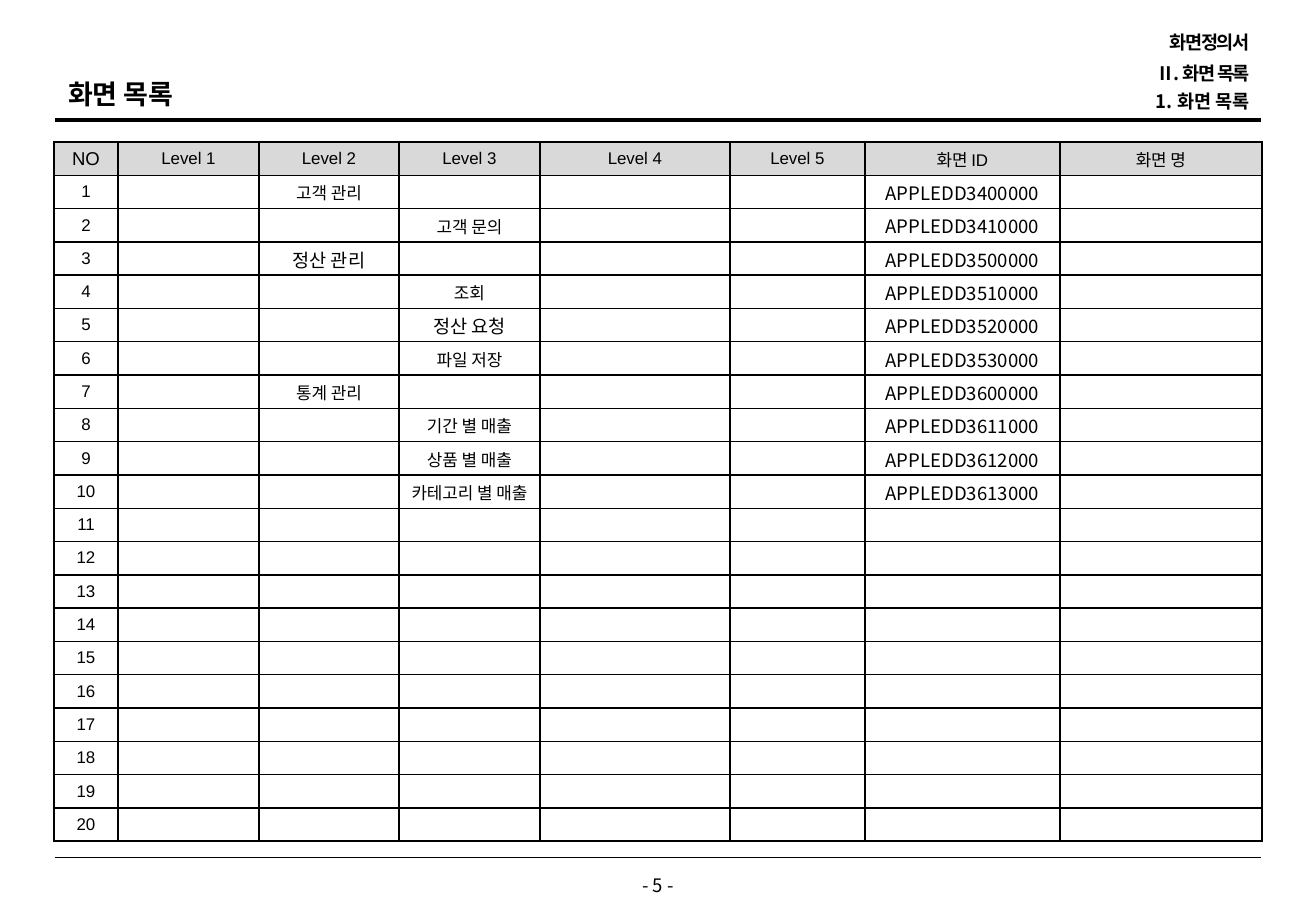
import pptx
import pptx.dml.color
import pptx.enum.shapes
import pptx.enum.text
import pptx.oxml.ns
import pptx.util
import lxml.etree

NOTO, ARIAL = "Noto Sans CJK KR", "Arial"
BLACK, WHITE, GRAY = "000000", "FFFFFF", "D9D9D9"
LEFT, CENTER, RIGHT = (pptx.enum.text.PP_ALIGN.LEFT, pptx.enum.text.PP_ALIGN.CENTER,
                       pptx.enum.text.PP_ALIGN.RIGHT)
TOP, MIDDLE = pptx.enum.text.MSO_ANCHOR.TOP, pptx.enum.text.MSO_ANCHOR.MIDDLE

TITLE = "화면 목록"
PAGE_NUMBER = "- 5 -"
BREADCRUMBS = [(31, "화면정의서", -0.8), (62, "Ⅱ. 화면 목록", -0.8), (90, "1. 화면 목록", 0)]
RULES = [(120, 2.25), (857, 0.5)]
RULE_LEFT, RULE_RIGHT = 55, 1261

HEADERS = ["NO", "Level 1", "Level 2", "Level 3", "Level 4", "Level 5", "화면 ID", "화면 명"]
COL_WIDTHS = [64, 141, 140, 141, 190, 135, 195, 202]
SCREENS = [
    (2, "고객 관리", "APPLEDD3400000"),
    (3, "고객 문의", "APPLEDD3410000"),
    (2, "정산 관리", "APPLEDD3500000"),
    (3, "조회", "APPLEDD3510000"),
    (3, "정산 요청", "APPLEDD3520000"),
    (3, "파일 저장", "APPLEDD3530000"),
    (2, "통계 관리", "APPLEDD3600000"),
    (3, "기간 별 매출", "APPLEDD3611000"),
    (3, "상품 별 매출", "APPLEDD3612000"),
    (3, "카테고리 별 매출", "APPLEDD3613000"),
]
LARGE_NAMES = {"정산 관리", "정산 요청"}
ID_COL = 6
ROW_COUNT = 20
TABLE_LEFT, TABLE_TOP, TABLE_HEIGHT = 54, 142, 700


def px(n):
    return round(n * 914400 / 121.5)


def rgb(color):
    return pptx.dml.color.RGBColor.from_string(color)


def child(parent, tag, **attrs):
    return lxml.etree.SubElement(parent, pptx.oxml.ns.qn(tag), **attrs)


def add_run(p, text, size, font=NOTO, bold=False, spacing=0):
    r = p.add_run()
    r.text = text
    r.font.size = pptx.util.Pt(size)
    r.font.name = font
    r.font.bold = bold
    r.font.color.rgb = rgb(BLACK)
    rPr = r.font._element
    child(rPr, "a:ea", typeface=NOTO)
    if spacing:
        rPr.set("spc", str(round(spacing * 100)))


def add_text(s, box, text, size, align, anchor, line, inset=(12, 6), bold=True, spacing=0):
    tf = s.shapes.add_textbox(*map(px, box)).text_frame
    tf.word_wrap = True
    tf.vertical_anchor = anchor
    tf.margin_left = tf.margin_right = px(inset[0])
    tf.margin_top = tf.margin_bottom = px(inset[1])
    p = tf.paragraphs[0]
    p.alignment = align
    p.line_spacing = line
    add_run(p, text, size, bold=bold, spacing=spacing)


def add_rule(s, y, width):
    sp = s.shapes.add_connector(pptx.enum.shapes.MSO_CONNECTOR.STRAIGHT,
                                px(RULE_LEFT), px(y), px(RULE_RIGHT), px(y))
    sp.line.color.rgb = rgb(BLACK)
    sp.line.width = pptx.util.Pt(width)
    child(sp._element.spPr, "a:effectLst")


def set_borders(cell):
    tcPr = cell._tc.get_or_add_tcPr()
    for i, side in enumerate(("a:lnL", "a:lnR", "a:lnT", "a:lnB")):
        ln = child(tcPr, side, w=str(pptx.util.Pt(1)))
        child(child(ln, "a:solidFill"), "a:srgbClr", val=BLACK)
        tcPr.insert(i, ln)


def fill_cell(cell, text, row, col):
    cell.fill.solid()
    cell.fill.fore_color.rgb = rgb(WHITE if row else GRAY)
    set_borders(cell)
    cell.vertical_anchor = MIDDLE
    cell.margin_left = cell.margin_right = px(1 if row and col else 5)
    cell.margin_top = px(1 if col else 0)
    cell.margin_bottom = 0
    p = cell.text_frame.paragraphs[0]
    p.alignment = CENTER
    noto = row > 0 and (col == ID_COL or text in LARGE_NAMES)
    if text:
        add_run(p, text, 11 if noto or text == "NO" else 10, NOTO if noto else ARIAL)
    else:
        child(p._p, "a:endParaRPr", sz="1000")


def table_rows():
    rows = [HEADERS]
    for n in range(1, ROW_COUNT + 1):
        row = [str(n)] + [""] * (len(HEADERS) - 1)
        if n <= len(SCREENS):
            level, name, screen_id = SCREENS[n - 1]
            row[level], row[ID_COL] = name, screen_id
        rows.append(row)
    return rows


def add_screen_table(s):
    rows = table_rows()
    table = s.shapes.add_table(len(rows), len(HEADERS), px(TABLE_LEFT), px(TABLE_TOP),
                               px(sum(COL_WIDTHS)), px(TABLE_HEIGHT)).table
    table.first_row = table.horz_banding = False
    for column, width in zip(table.columns, COL_WIDTHS):
        column.width = px(width)
    for i, row in enumerate(rows):
        table.rows[i].height = px(TABLE_HEIGHT / len(rows))
        for j, text in enumerate(row):
            fill_cell(table.cell(i, j), text, i, j)


def main():
    prs = pptx.Presentation()
    prs.slide_width, prs.slide_height = px(1316), px(911)
    s = prs.slides.add_slide(prs.slide_layouts[6])
    for y, width in RULES:
        add_rule(s, y, width)
    add_text(s, (498, 873, 320, 26), PAGE_NUMBER, 11, CENTER, MIDDLE,
             pptx.util.Pt(12), inset=(0, 0), bold=False)
    add_text(s, (56, 75, 823, 39), TITLE, 16, LEFT, TOP, 0.9)
    for y, text, spacing in BREADCRUMBS:
        add_text(s, (889, y, 373, 24), text, 11, RIGHT, MIDDLE, 0.9, spacing=spacing)
    add_screen_table(s)
    prs.save("out.pptx")


if __name__ == "__main__":
    main()
